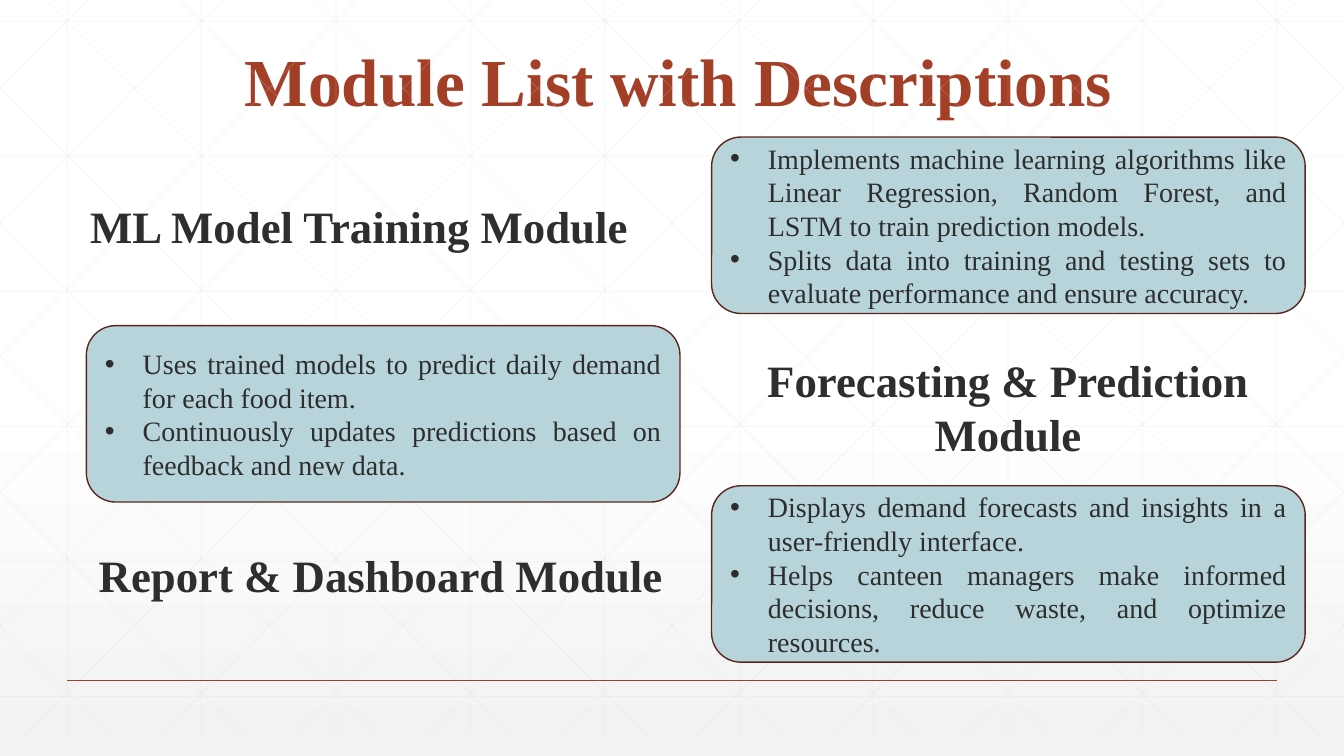
"""Build the module list slide with descriptions of three modules."""
from copy import deepcopy

from pptx import Presentation
from pptx.dml.color import RGBColor
from pptx.enum.shapes import MSO_CONNECTOR, MSO_SHAPE
from pptx.enum.text import MSO_ANCHOR, MSO_AUTO_SIZE, PP_ALIGN
from pptx.oxml.ns import qn
from pptx.util import Pt
from lxml.etree import SubElement

WHITE = RGBColor(0xFF, 0xFF, 0xFF)
PALE_GREY = RGBColor(0xF2, 0xF2, 0xF2)
GRID_GREY = RGBColor(0xD9, 0xD9, 0xD9)
RUST = RGBColor(0xA4, 0x3F, 0x27)
DARK_RUST = RGBColor(0x5C, 0x27, 0x1B)
PALE_TEAL = RGBColor(0xB7, 0xD4, 0xDB)
CHARCOAL = RGBColor(0x2D, 0x2E, 0x2D)
FONT = "Times New Roman"
WIDTH, HEIGHT, GRID_BOTTOM = 960, 540, 525

DESCRIPTIONS = [
    (508.3, 97.9, [
        "Implements machine learning algorithms like Linear Regression, "
        "Random Forest, and LSTM to train prediction models.",
        "Splits data into training and testing sets to evaluate performance "
        "and ensure accuracy.",
    ]),
    (508.3, 347, [
        "Displays demand forecasts and insights in a user-friendly interface.",
        "Helps canteen managers make informed decisions, reduce waste, "
        "and optimize resources.",
    ]),
    (61.7, 232.6, [
        "Uses trained models to predict daily demand for each food item.",
        "Continuously updates predictions based on feedback and new data.",
    ]),
]
MODULES = [
    ("ML Model Training Module", 44.6, 138.2, 424, 46, PP_ALIGN.CENTER),
    ("Forecasting & Prediction Module", 509.8, 248.4, 420.5, 85, PP_ALIGN.CENTER),
    ("Report & Dashboard Module", 63.4, 387.4, 420.5, 46, PP_ALIGN.LEFT),
]

deck = Presentation()
deck.slide_width, deck.slide_height = Pt(WIDTH), Pt(HEIGHT)
page = deck.slides.add_slide(deck.slide_layouts[5])


def add_line(x1, y1, x2, y2, color, weight, opacity=100):
    line = page.shapes.add_connector(
        MSO_CONNECTOR.STRAIGHT, Pt(x1), Pt(y1), Pt(x2), Pt(y2))
    line.line.color.rgb = color
    line.line.width = Pt(weight)
    properties = line.element.spPr
    alpha = SubElement(next(properties.iter(qn("a:srgbClr"))), qn("a:alpha"))
    alpha.set("val", str(opacity * 1000))
    SubElement(properties, qn("a:effectLst"))


def add_span(para, text, size, color, bold=False):
    span = para.add_run()
    span.text = text
    span.font.name = FONT
    span.font.size = Pt(size)
    span.font.bold = bold
    span.font.color.rgb = color


backdrop = page.background.fill
backdrop.gradient()
backdrop.gradient_angle = 270
stop_list = next(page.element.iter(qn("a:gsLst")))
stop_list.insert(1, deepcopy(stop_list[0]))
shades = [(0, WHITE), (0.53, WHITE), (1, PALE_GREY)]
for stop, (position, color) in zip(backdrop.gradient_stops, shades):
    stop.position = position
    stop.color.rgb = color

grid = [(48 + 96 * i, 0, 48 + 96 * i, GRID_BOTTOM) for i in range(10)]
grid += [(0, 15 + 96.5 * i, WIDTH, 15 + 96.5 * i) for i in range(6)]
for i in range(-5, 10):
    origin = 33 + 96 * i
    left, right = max(origin, 0), min(origin + GRID_BOTTOM, WIDTH)
    top, bottom = left - origin, right - origin
    grid.append((left, top, right, bottom))
    grid.append((WIDTH - left, top, WIDTH - right, bottom))
for ends in grid:
    add_line(*ends, GRID_GREY, 0.5, 25)
add_line(48, 486, 912, 486, RUST, 1)

title = page.shapes.title
title.left, title.top, title.width, title.height = Pt(107), Pt(0), Pt(756), Pt(90)
frame = title.text_frame
frame.auto_size = MSO_AUTO_SIZE.NONE
frame.vertical_anchor = MSO_ANCHOR.BOTTOM
para = frame.paragraphs[0]
para.alignment = PP_ALIGN.CENTER
para.line_spacing = 0.9
add_span(para, "Module List with Descriptions", 48, RUST, True)

for left, top, points in DESCRIPTIONS:
    box = page.shapes.add_shape(
        MSO_SHAPE.ROUNDED_RECTANGLE, Pt(left), Pt(top), Pt(424), Pt(126))
    box.shadow.inherit = False
    box.fill.solid()
    box.fill.fore_color.rgb = PALE_TEAL
    box.line.color.rgb = DARK_RUST
    box.line.width = Pt(1)
    frame = box.text_frame
    frame.word_wrap = True
    frame.vertical_anchor = MSO_ANCHOR.MIDDLE
    for index, point in enumerate(points):
        para = frame.add_paragraph() if index else frame.paragraphs[0]
        para.alignment = PP_ALIGN.JUSTIFY
        settings = para._p.get_or_add_pPr()
        settings.set("marL", str(Pt(27)))
        settings.set("indent", str(-Pt(27)))
        SubElement(settings, qn("a:buFont")).set("typeface", "Arial")
        SubElement(settings, qn("a:buChar")).set("char", "•")
        add_span(para, point, 20, CHARCOAL)

for name, left, top, width, height, alignment in MODULES:
    box = page.shapes.add_textbox(Pt(left), Pt(top), Pt(width), Pt(height))
    frame = box.text_frame
    frame.word_wrap = True
    frame.auto_size = MSO_AUTO_SIZE.SHAPE_TO_FIT_TEXT
    para = frame.paragraphs[0]
    para.alignment = alignment
    add_span(para, name, 32, CHARCOAL, True)

deck.save("out.pptx")
